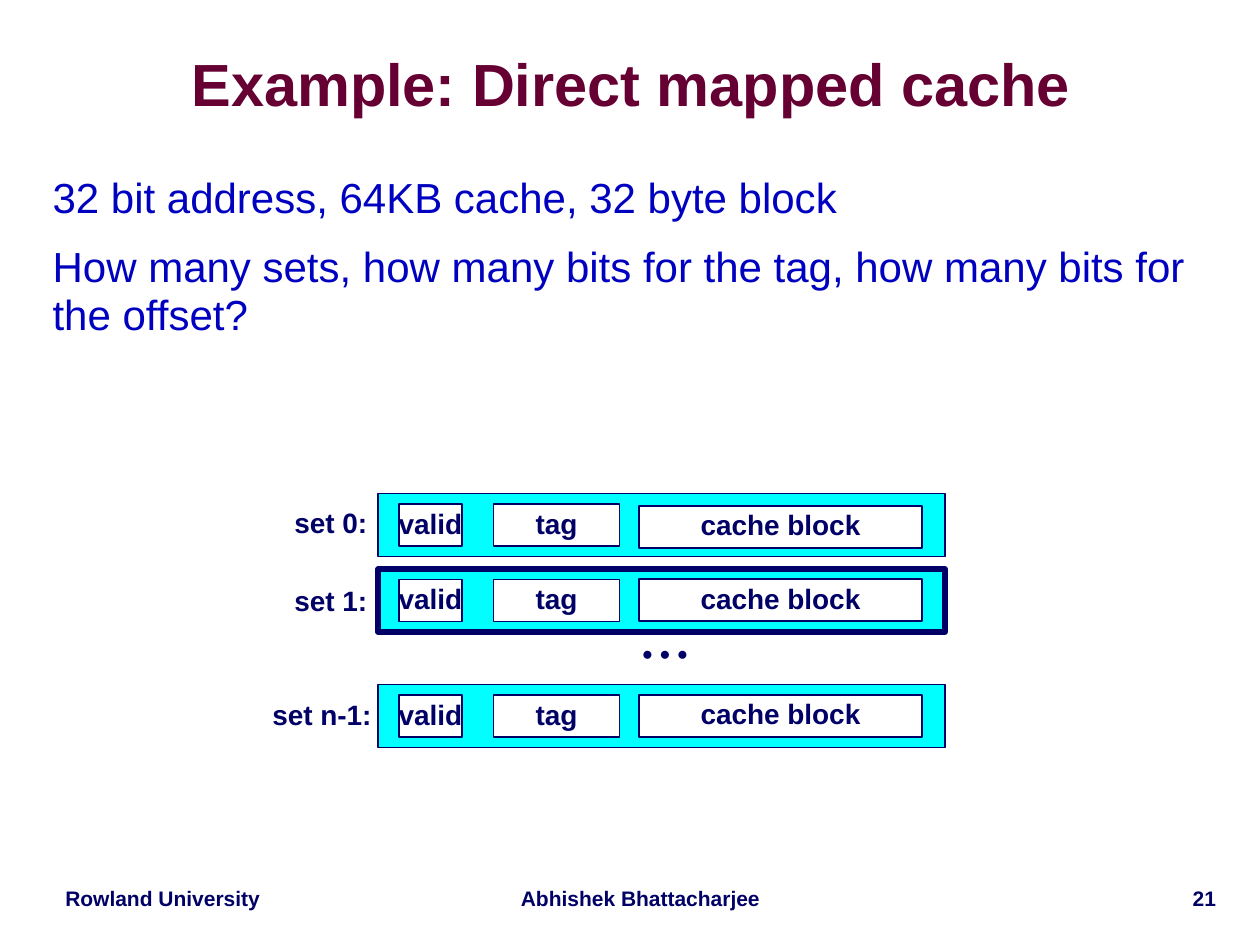
from dataclasses import dataclass

from pptx import Presentation
from pptx.dml.color import RGBColor
from pptx.enum.shapes import MSO_SHAPE
from pptx.enum.text import MSO_ANCHOR, PP_ALIGN
from pptx.shapes.base import BaseShape
from pptx.slide import Slide
from pptx.text.text import TextFrame
from pptx.util import Pt

NAVY = RGBColor(0x00, 0x00, 0x66)
BLUE = RGBColor(0x00, 0x00, 0xC0)
MAROON = RGBColor(0x66, 0x00, 0x33)
CYAN = RGBColor(0x00, 0xFF, 0xFF)
WHITE = RGBColor(0xFF, 0xFF, 0xFF)

ROW_LEFT, ROW_WIDTH, ROW_HEIGHT = 216, 324, 36
FIELD_HEIGHT = 24


@dataclass
class Style:
    size: float
    color: RGBColor = NAVY
    bold: bool = True
    align: PP_ALIGN = PP_ALIGN.CENTER
    spacing: float = 0.9
    before: float = 0


@dataclass
class Label:
    text: str
    left: float
    top: float
    width: float
    height: float


@dataclass
class Field:
    text: str
    left: float
    width: float


@dataclass
class CacheSet:
    top: float
    field_top: float
    block_top: float
    line: float
    label: Label


LABEL_STYLE = Style(16)
FOOTER_STYLE = Style(12)
NUMBER_STYLE = Style(12, align=PP_ALIGN.RIGHT)
TITLE_STYLE = Style(34, MAROON, spacing=0.87)
BODY_STYLE = Style(24, BLUE, False, PP_ALIGN.LEFT, 0.95, 12)

BODY = [
    "32 bit address, 64KB cache, 32 byte block",
    "How many sets, how many bits for the tag, how many bits for the offset?",
]
FIELDS = [Field("valid", 228, 36), Field("tag", 282, 72)]
BLOCK = Field("cache block", 365, 162)
SETS = [
    CacheSet(282, 288, 289, 1, Label("set 0:", 160.5, 287, 57, 25)),
    CacheSet(325.2, 331.2, 331, 3, Label("set 1:", 160.5, 332, 57, 25)),
    CacheSet(391.2, 397.2, 397, 1, Label("set n-1:", 148, 397, 72, 25)),
]
ELLIPSIS = Label("•\u00a0•\u00a0•", 360, 362, 40, 25)
FOOTERS = [
    (Label("Rowland University", 24, 504, 138, 20), FOOTER_STYLE),
    (Label("Abhishek Bhattacharjee", 288, 504, 156, 20), FOOTER_STYLE),
    (Label("21", 588, 504, 114, 21.6), NUMBER_STYLE),
]


def write(tf: TextFrame, lines: list[str], style: Style) -> None:
    for i, line in enumerate(lines):
        p = tf.paragraphs[0] if i == 0 else tf.add_paragraph()
        p.text = line
        p.alignment = style.align
        p.line_spacing = style.spacing
        p.space_before = Pt(style.before)
        p.font.name = "Arial"
        p.font.size = Pt(style.size)
        p.font.bold = style.bold
        p.font.color.rgb = style.color


def add_box(s: Slide, left: float, top: float, width: float, height: float,
            fill: RGBColor, line: float = 1) -> BaseShape:
    sp = s.shapes.add_shape(MSO_SHAPE.RECTANGLE, Pt(left), Pt(top), Pt(width), Pt(height))
    sp.shadow.inherit = False
    sp.fill.solid()
    sp.fill.fore_color.rgb = fill
    sp.line.color.rgb = NAVY
    sp.line.width = Pt(line)
    return sp


def add_field(s: Slide, field: Field, top: float) -> None:
    tf = add_box(s, field.left, top, field.width, FIELD_HEIGHT, WHITE).text_frame
    tf.word_wrap = False
    tf.vertical_anchor = MSO_ANCHOR.MIDDLE
    write(tf, [field.text], LABEL_STYLE)


def add_text(s: Slide, label: Label, style: Style, wrap: bool = False,
             anchor: MSO_ANCHOR = MSO_ANCHOR.MIDDLE) -> None:
    sp = s.shapes.add_textbox(Pt(label.left), Pt(label.top), Pt(label.width), Pt(label.height))
    tf = sp.text_frame
    tf.word_wrap = wrap
    tf.vertical_anchor = anchor
    write(tf, label.text.split("\n"), style)


def add_set(s: Slide, row: CacheSet) -> None:
    add_box(s, ROW_LEFT, row.top, ROW_WIDTH, ROW_HEIGHT, CYAN, row.line)
    for field in FIELDS:
        add_field(s, field, row.field_top)
    add_field(s, BLOCK, row.block_top)
    add_text(s, row.label, LABEL_STYLE)


def add_title(s: Slide, text: str) -> None:
    sp = s.shapes.title
    sp.left, sp.top, sp.width, sp.height = Pt(22.5), Pt(19.5), Pt(676), Pt(61)
    tf = sp.text_frame
    tf.margin_left = tf.margin_right = tf.margin_top = tf.margin_bottom = 0
    tf.vertical_anchor = MSO_ANCHOR.MIDDLE
    write(tf, [text], TITLE_STYLE)


def main() -> None:
    prs = Presentation()
    prs.slide_width, prs.slide_height = Pt(720), Pt(540)
    s = prs.slides.add_slide(prs.slide_layouts[5])

    # Title and questions
    add_title(s, "Example: Direct mapped cache")
    add_text(s, Label("\n".join(BODY), 23, 96.5, 679, 396), BODY_STYLE, True, MSO_ANCHOR.TOP)

    # Cache sets
    for row in SETS:
        add_set(s, row)
    add_text(s, ELLIPSIS, LABEL_STYLE)

    # Footer
    for label, style in FOOTERS:
        add_text(s, label, style, True, MSO_ANCHOR.TOP)

    prs.save("out.pptx")


if __name__ == "__main__":
    main()
